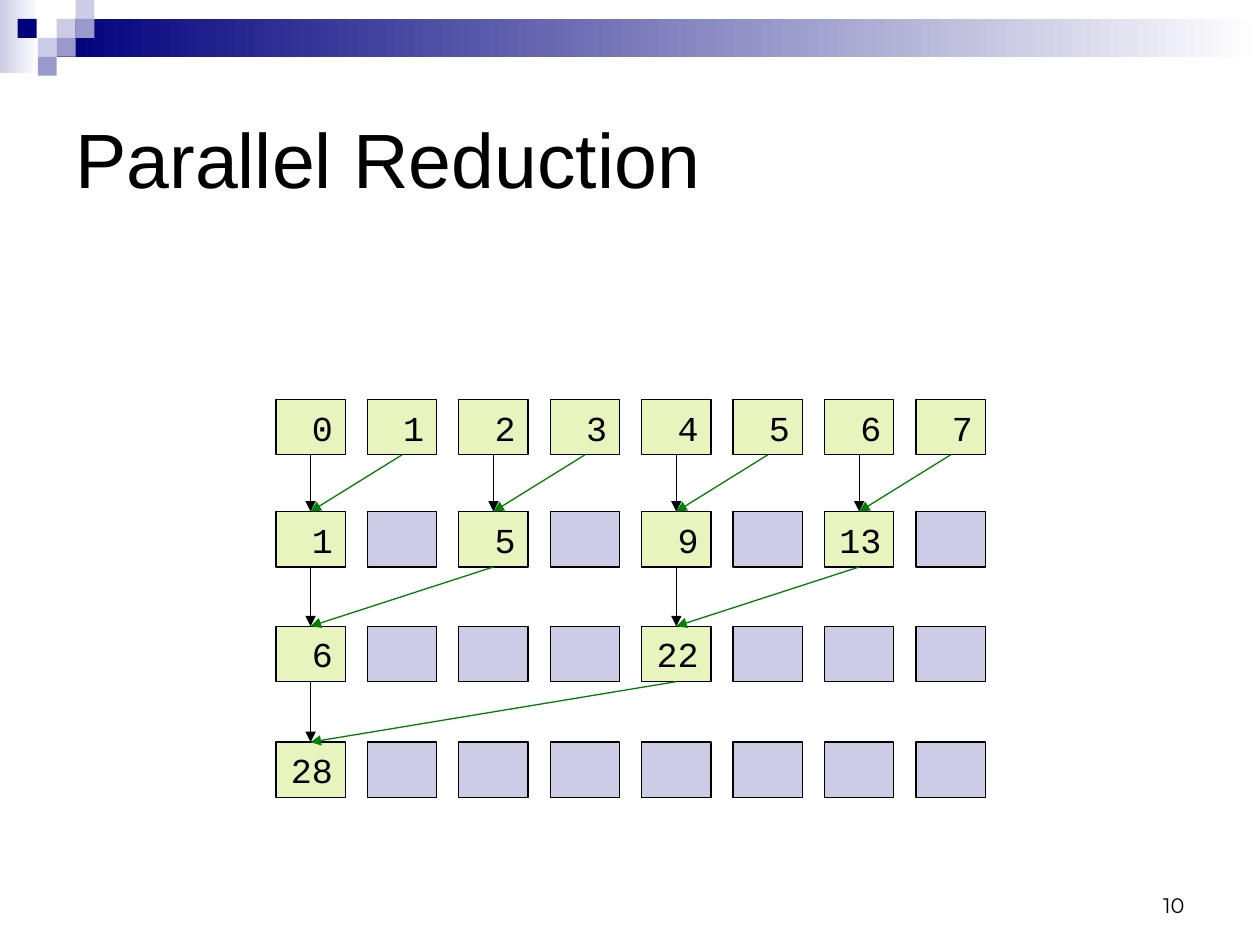
from pptx import Presentation
from pptx import util as u
from pptx.dml.color import RGBColor
from pptx.enum import shapes, text
from pptx.oxml.ns import qn
from lxml import etree

COLORS = {
    "black": "000000",
    "white": "FFFFFF",
    "navy": "00007D",
    "lilac": "CCCCE6",
    "violet": "9999CC",
    "active": "E7F4BE",
    "idle": "CCCCE6",
    "green": "008000",
}
BANDS = [
    ((0, 0, 0.31, 0.58), "lilac"),
    ((0.45, 0.15, 9.55, 0.3), "navy"),
]
SQUARES = [
    (0.45, 0.15, "lilac"),
    (0.6, 0, "lilac"),
    (0.6, 0.15, "violet"),
    (0.3, 0.3, "lilac"),
    (0.14, 0.15, "navy"),
    (0.45, 0.3, "violet"),
    (0.3, 0.45, "violet"),
]
SQUARE_SIZE = 0.15
COLUMNS = 8
FIRST_LEFT, LAST_LEFT = 2.19, 7.27
COLUMN_PITCH = (LAST_LEFT - FIRST_LEFT) / (COLUMNS - 1)
ROW_TOPS = [3.17, 4.06, 4.97, 5.89]
CELL_WIDTH, CELL_HEIGHT = 0.55, 0.44
BOTTOM, TOP = 2, 0


def color(name):
    return RGBColor.from_string(COLORS[name])


def set_values(target, values):
    for name, value in values.items():
        setattr(target, name, value)


def write_text(box, words, font, size, align, frame_format):
    frame = box.text_frame
    set_values(frame, {"word_wrap": True, **frame_format})
    para = frame.paragraphs[0]
    para.alignment = align
    span = para.add_run()
    span.text = words
    set_values(span.font, {"name": font, "size": u.Pt(size)})
    span.font.color.rgb = color("black")


def add_box(page, area):
    box = page.shapes.add_shape(
        shapes.MSO_SHAPE.RECTANGLE, *[u.Inches(length) for length in area]
    )
    box.shadow.inherit = False
    return box


def add_solid(page, area, fill):
    box = add_box(page, area)
    box.fill.solid()
    box.fill.fore_color.rgb = color(fill)
    box.line.fill.background()
    return box


def add_band(page, area, start):
    band = add_box(page, area)
    band.fill.gradient()
    band.fill.gradient_angle = 0
    for stop, name in zip(band.fill.gradient_stops, (start, "white")):
        stop.color.rgb = color(name)
    band.line.fill.background()


def add_label(page, area, words, font, size, align, anchor):
    box = page.shapes.add_textbox(*[u.Inches(length) for length in area])
    write_text(box, words, font, size, align, {"vertical_anchor": anchor})


def add_cell(page, column, level):
    step = 2 ** level
    is_active = column % step == 0
    left = FIRST_LEFT + column * COLUMN_PITCH
    area = (left, ROW_TOPS[level], CELL_WIDTH, CELL_HEIGHT)
    cell = add_solid(page, area, "active" if is_active else "idle")
    cell.line.color.rgb = color("black")
    cell.line.width = u.Pt(0.75)
    if is_active:
        total = sum(range(column, column + step))
        frame_format = {
            "margin_left": u.Inches(0.05),
            "margin_right": u.Inches(0.1),
            "vertical_anchor": text.MSO_ANCHOR.MIDDLE,
        }
        write_text(cell, str(total), "Courier New", 20,
                   text.PP_ALIGN.RIGHT, frame_format)
    return cell


def add_arrow(page, source, target, line_color):
    arrow = page.shapes.add_connector(shapes.MSO_CONNECTOR.STRAIGHT, 0, 0, 0, 0)
    arrow.begin_connect(source, BOTTOM)
    arrow.end_connect(target, TOP)
    arrow.line.color.rgb = color(line_color)
    arrow.line.width = u.Pt(0.75)
    outline = arrow.line._get_or_add_ln()
    etree.SubElement(outline, qn("a:tailEnd"), type="triangle")
    etree.SubElement(arrow._element.spPr, qn("a:effectLst"))


def add_reduction(page):
    rows = [
        [add_cell(page, column, level) for column in range(COLUMNS)]
        for level in range(len(ROW_TOPS))
    ]
    for level, (sources, targets) in enumerate(zip(rows, rows[1:])):
        stride = 2 ** level
        for column in range(0, COLUMNS, 2 * stride):
            add_arrow(page, sources[column], targets[column], "black")
            add_arrow(page, sources[column + stride], targets[column], "green")


def main():
    deck = Presentation()
    set_values(deck, {"slide_width": u.Inches(10), "slide_height": u.Inches(7.5)})
    page = deck.slides.add_slide(deck.slide_layouts[6])
    for area, start in BANDS:
        add_band(page, area, start)
    for left, top, fill in SQUARES:
        add_solid(page, (left, top, SQUARE_SIZE, SQUARE_SIZE), fill)
    add_label(page, (0.5, 0.5, 9, 1.5), "Parallel Reduction", "Arial", 44,
              text.PP_ALIGN.LEFT, text.MSO_ANCHOR.MIDDLE)
    add_reduction(page)
    add_label(page, (7.17, 6.83, 2.33, 0.5), "10", "Montserrat", 12,
              text.PP_ALIGN.RIGHT, text.MSO_ANCHOR.BOTTOM)
    deck.save("out.pptx")


if __name__ == "__main__":
    main()
